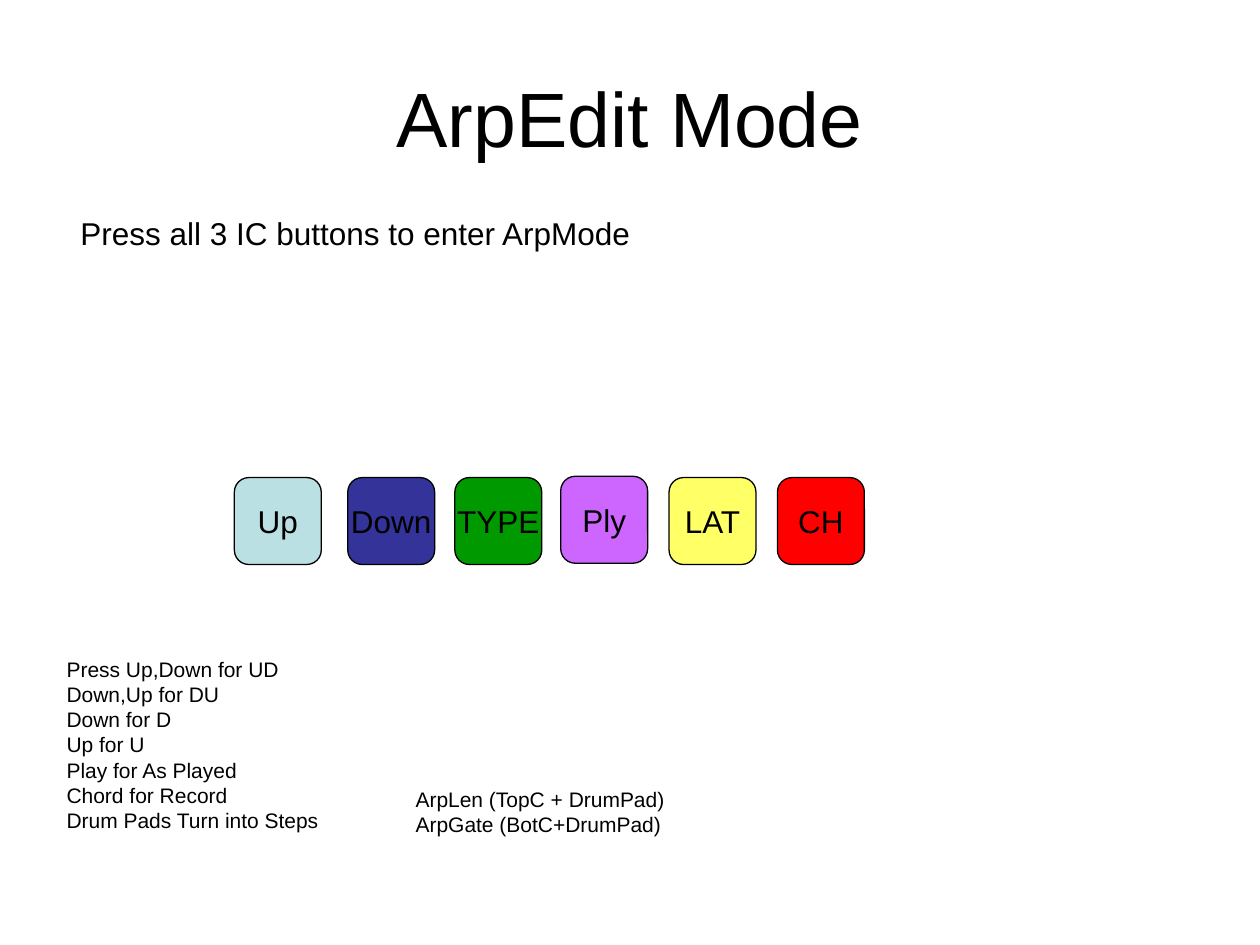
from dataclasses import dataclass

from lxml.etree import SubElement
from pptx import Presentation
from pptx.dml.color import RGBColor
from pptx.enum.shapes import MSO_SHAPE
from pptx.enum.text import MSO_ANCHOR, PP_ALIGN
from pptx.oxml.ns import qn
from pptx.util import Inches, Pt


@dataclass(frozen=True)
class Theme:
    font: str = "Arial"
    ink: str = "000000"
    light_blue: str = "BBE0E3"
    navy: str = "333399"
    green: str = "009900"
    violet: str = "CC66FF"
    yellow: str = "FFFF66"
    red: str = "FF0000"
    title: int = 44
    body: int = 18
    note: int = 12
    outline: float = 0.75


THEME = Theme()
BUTTON_SIZE = 0.69
BUTTON_TOP = 3.79


def write_text(tf, text, size, align=PP_ALIGN.LEFT, before=0):
    tf.text = text
    p = tf.paragraphs[0]
    p.alignment = align
    p.space_before = Pt(before)
    for r in p.runs:
        r.font.name = THEME.font
        r.font.size = Pt(size)
        r.font.color.rgb = RGBColor.from_string(THEME.ink)
    for br in p._p.findall(qn("a:br")):
        SubElement(br, qn("a:rPr"), sz=str(size * 100))


def add_text(s, box, text, size, align=PP_ALIGN.LEFT, anchor=MSO_ANCHOR.TOP, before=0):
    tf = s.shapes.add_textbox(*map(Inches, box)).text_frame
    tf.word_wrap = True
    tf.vertical_anchor = anchor
    write_text(tf, text, size, align, before)


def add_button(s, left, top, label, color):
    size = Inches(BUTTON_SIZE)
    sp = s.shapes.add_shape(
        MSO_SHAPE.ROUNDED_RECTANGLE, Inches(left), Inches(top), size, size)
    sp.shadow.inherit = False
    sp.fill.solid()
    sp.fill.fore_color.rgb = RGBColor.from_string(color)
    sp.line.color.rgb = RGBColor.from_string(THEME.ink)
    sp.line.width = Pt(THEME.outline)
    tf = sp.text_frame
    tf.word_wrap = False
    tf.vertical_anchor = MSO_ANCHOR.MIDDLE
    write_text(tf, label, THEME.body, PP_ALIGN.CENTER)


def main():
    prs = Presentation()
    prs.slide_width, prs.slide_height = Inches(10), Inches(7.5)
    s = prs.slides.add_slide(prs.slide_layouts[6])

    add_text(s, (0.5, 0.3, 9, 1.25), "ArpEdit Mode", THEME.title,
             PP_ALIGN.CENTER, MSO_ANCHOR.MIDDLE)

    buttons = [
        (1.86, BUTTON_TOP, "Up", THEME.light_blue),
        (2.76, BUTTON_TOP, "Down", THEME.navy),
        (3.61, BUTTON_TOP, "TYPE", THEME.green),
        (4.45, BUTTON_TOP - 0.01, "Ply", THEME.violet),
        (5.31, BUTTON_TOP, "LAT", THEME.yellow),
        (6.17, BUTTON_TOP, "CH", THEME.red),
    ]
    for button in buttons:
        add_button(s, *button)

    directions = [
        "Press Up,Down for UD", "Down,Up for DU", "Down for D", "Up for U",
        "Play for As Played", "Chord for Record", "Drum Pads Turn into Steps",
    ]
    settings = ["ArpLen (TopC + DrumPad)", "ArpGate (BotC+DrumPad)"]
    add_text(s, (0.54, 1.65, 4.88, 0.4), "Press all 3 IC buttons to enter ArpMode",
             THEME.body, before=11.2)
    add_text(s, (0.43, 5.16, 2.59, 1.5), "\v".join(directions), THEME.note, before=7.5)
    add_text(s, (3.2, 6.19, 2.66, 0.5), "\v".join(settings), THEME.note, before=7.5)

    prs.save("out.pptx")


if __name__ == "__main__":
    main()
